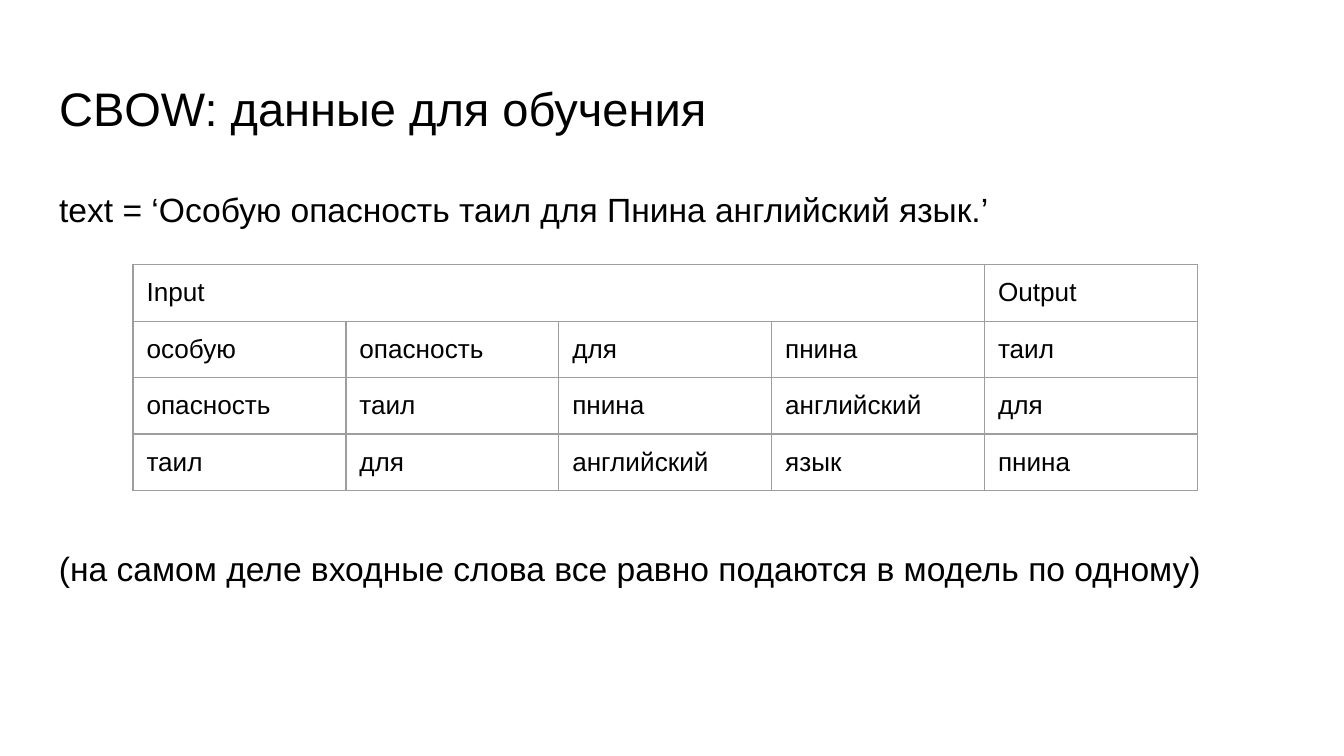
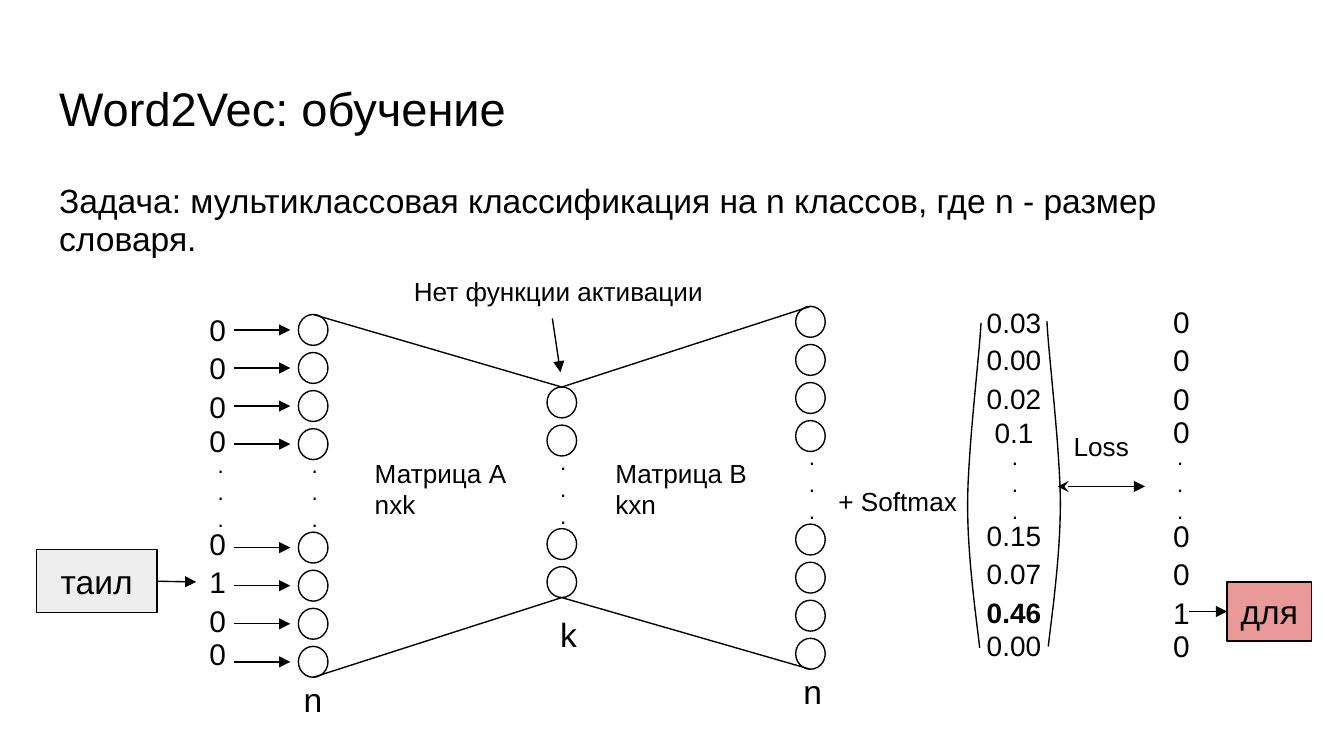
from lxml.etree import SubElement
from pptx import Presentation
from pptx.dml.color import RGBColor
from pptx.enum.shapes import MSO_CONNECTOR, MSO_SHAPE
from pptx.enum.text import MSO_ANCHOR, MSO_AUTO_SIZE, PP_ALIGN
from pptx.oxml.ns import qn
from pptx.util import Inches, Pt

FONT = "Arial"
BLACK, GRID, PALE, ROSE = "000000", "9E9E9E", "EEEEEE", "EA9999"
LINE_WIDTH = 0.75
LEFT, CENTER = PP_ALIGN.LEFT, PP_ALIGN.CENTER
TOP, MIDDLE = MSO_ANCHOR.TOP, MSO_ANCHOR.MIDDLE

# Training data slide
DATA_TITLE = "CBOW: данные для обучения"
DATA_TEXT = "text = ‘Особую опасность таил для Пнина английский язык.’"
DATA_NOTE = "(на самом деле входные слова все равно подаются в модель по одному)"
DATA_ROWS = [
    ("Input", "", "", "", "Output"),
    ("особую", "опасность", "для", "пнина", "таил"),
    ("опасность", "таил", "пнина", "английский", "для"),
    ("таил", "для", "английский", "язык", "пнина"),
]
TABLE_WIDTH, ROW_HEIGHT = 7.92, 0.42

# Network slide
NET_TITLE = "Word2Vec: обучение"
NET_TEXT = "Задача: мультиклассовая классификация на n классов, где n - размер словаря."
INPUT = ["0", "0", "0", "0", "0", "1", "0", "0"]
SOFTMAX = ["0.03", "0.00", "0.02", "0.1", "0.15", "0.07", "0.46", "0.00"]
TARGET = ["0", "0", "0", "0", "0", "0", "1", "0"]
VALUE_OFFSETS = (0, 0.28, 0.57, 0.82, 1.59, 1.87, 2.16, 2.41)
# values, left, top, width, text size, left of the dots
VECTORS = [
    (INPUT, 1.46, 2.34, 0.22, 16, 1.52),
    (SOFTMAX, 7.23, 2.28, 0.63, 15, 7.43),
    (TARGET, 8.63, 2.28, 0.22, 16, 8.66),
]
# left, top, neurons above the dots, neurons below
LAYERS = [(2.22, 2.34, 4, 4), (4.07, 2.88, 2, 2), (5.92, 2.28, 4, 4)]
NEURON_WIDTH, NEURON_HEIGHT = 0.22, 0.23
NEURON_PITCH, DOTS_JUMP = 0.85 / 3, 0.77
DOTS_DROP, DOTS_HEIGHT = 1.08, 0.48
BOLD_VALUE = "0.46"
# lines, place, size, alignment, anchor
LABELS = [
    (["k"], (4.07, 4.6, 0.22, 0.23), 18, CENTER, MIDDLE),
    (["n"], (2.16, 5.09, 0.22, 0.23), 18, CENTER, MIDDLE),
    (["n"], (5.88, 5.03, 0.22, 0.23), 18, LEFT, MIDDLE),
    (["+ Softmax"], (6.14, 3.51, 1.1, 0.28), 14, LEFT, TOP),
    (["Loss"], (7.89, 3.1, 0.63, 0.28), 14, LEFT, TOP),
    (["Матрица А", "nxk"], (2.69, 3.3, 1.24, 0.63), 14, LEFT, TOP),
    (["Матрица B", "kxn"], (4.48, 3.3, 1.24, 0.63), 14, LEFT, TOP),
    (["Нет функции активации"], (2.91, 1.95, 2.49, 0.28), 14, CENTER, TOP),
]
# Each bracket is two cubic curves that share their middle point
BRACKETS = [
    [(7.3, 2.4), (7.29, 2.63), (7.2, 3.35), (7.2, 3.76),
     (7.2, 4.16), (7.27, 4.64), (7.29, 4.82)],
    [(7.79, 2.39), (7.8, 2.62), (7.89, 3.35), (7.89, 3.75),
     (7.89, 4.15), (7.82, 4.63), (7.8, 4.81)],
]


def color(hex_string):
    return RGBColor.from_string(hex_string)


def inches(*lengths):
    return [Inches(length) for length in lengths]


def style_line(line):
    line.color.rgb = color(BLACK)
    line.width = Pt(LINE_WIDTH)


def set_margins(target):
    """Give a text frame or a table cell equal insets."""
    target.margin_left = target.margin_right = Inches(0.1)
    target.margin_top = target.margin_bottom = Inches(0.1)


def write(frame, lines, size, align=LEFT, anchor=TOP, bold=False):
    frame.word_wrap = True
    frame.auto_size = MSO_AUTO_SIZE.NONE
    frame.vertical_anchor = anchor
    set_margins(frame)
    for index, text in enumerate(lines):
        para = frame.add_paragraph() if index else frame.paragraphs[0]
        para.alignment = align
        add_span(para, text, size, bold)


def add_span(para, text, size, bold=False):
    span = para.add_run()
    span.text = text
    span.font.name = FONT
    span.font.size = Pt(size)
    span.font.bold = bold
    span.font.color.rgb = color(BLACK)


def add_text(page, lines, place, size, align=LEFT, anchor=TOP, bold=False):
    box = page.shapes.add_textbox(*inches(*place))
    write(box.text_frame, lines, size, align, anchor, bold)


def add_page(deck, title, text, body_height, line_spacing):
    page = deck.slides.add_slide(deck.slide_layouts[1])
    head, body = page.placeholders
    for holder, place in ((head, (0.34, 0.49, 9.32, 0.63)),
                          (body, (0.34, 1.26, 9.32, body_height))):
        holder.left, holder.top, holder.width, holder.height = inches(*place)
    write(head.text_frame, [title], 25.2)
    write(body.text_frame, [text], 18)
    para = body.text_frame.paragraphs[0]
    para.line_spacing = line_spacing
    para.space_before, para.space_after = Pt(0), Pt(12)
    properties = para._p.get_or_add_pPr()
    properties.set("marL", "0")
    properties.set("indent", "0")
    SubElement(properties, qn("a:buNone"))
    return page


def add_figure(page, kind, place, fill=None):
    figure = page.shapes.add_shape(kind, *inches(*place))
    figure.shadow.inherit = False
    style_line(figure.line)
    if fill:
        figure.fill.solid()
        figure.fill.fore_color.rgb = color(fill)
    else:
        figure.fill.background()
    return figure


def add_line(page, start, end, head=None, tail=None):
    line = page.shapes.add_connector(MSO_CONNECTOR.STRAIGHT, *inches(*start, *end))
    style_line(line.line)
    properties = line._element.spPr
    outline = properties.find(qn("a:ln"))
    for tag, kind in (("a:headEnd", head), ("a:tailEnd", tail)):
        if kind:
            SubElement(outline, qn(tag), type=kind)
    SubElement(properties, qn("a:effectLst"))
    return line


def add_arrow(page, start, end, head=None):
    return add_line(page, start, end, head, "triangle")


def add_dots(page, left, top):
    add_text(page, ["."] * 3, (left, top, NEURON_WIDTH, DOTS_HEIGHT), 12, CENTER, MIDDLE)


def add_borders(cell):
    properties = cell._tc.get_or_add_tcPr()
    for side in ("L", "R", "T", "B"):
        border = SubElement(properties, qn(f"a:ln{side}"), w=str(Pt(LINE_WIDTH)))
        fill = SubElement(border, qn("a:solidFill"))
        SubElement(fill, qn("a:srgbClr"), val=GRID)


def add_data_table(page):
    rows, columns = len(DATA_ROWS), len(DATA_ROWS[0])
    place = (0.99, 1.97, TABLE_WIDTH, rows * ROW_HEIGHT)
    table = page.shapes.add_table(rows, columns, *inches(*place)).table
    table.first_row = table.horz_banding = False
    for row, words in enumerate(DATA_ROWS):
        for column, word in enumerate(words):
            cell = table.cell(row, column)
            add_borders(cell)
            cell.fill.background()
            set_margins(cell)
            if word:
                add_span(cell.text_frame.paragraphs[0], word, 14)
    table.cell(0, 0).merge(table.cell(0, columns - 2))


def add_layer(page, left, top, above, below):
    """Draw a column of neurons and return their tops."""
    lower = top + (above - 1) * NEURON_PITCH + DOTS_JUMP
    tops = [top + i * NEURON_PITCH for i in range(above)]
    tops += [lower + i * NEURON_PITCH for i in range(below)]
    for y in tops:
        add_figure(page, MSO_SHAPE.OVAL, (left, y, NEURON_WIDTH, NEURON_HEIGHT))
    add_dots(page, left, tops[above - 1] + NEURON_HEIGHT)
    return tops


def add_vector(page, values, left, top, width, size, dots_left):
    for value, offset in zip(values, VALUE_OFFSETS):
        add_text(page, [value], (left, top + offset, width, NEURON_HEIGHT),
                 size, CENTER, MIDDLE, value == BOLD_VALUE)
    add_dots(page, dots_left, top + DOTS_DROP)


def curve_points(controls, steps=16):
    """Sample one cubic Bezier curve, leaving out its first point."""
    for step in range(1, steps + 1):
        t = step / steps
        weights = ((1 - t) ** 3, 3 * t * (1 - t) ** 2, 3 * t * t * (1 - t), t ** 3)
        yield tuple(Inches(sum(w * point[axis] for w, point in zip(weights, controls)))
                    for axis in (0, 1))


def add_bracket(page, controls):
    builder = page.shapes.build_freeform(*inches(*controls[0]))
    points = [*curve_points(controls[:4]), *curve_points(controls[3:])]
    builder.add_line_segments(points, close=False)
    bracket = builder.convert_to_shape()
    bracket.shadow.inherit = False
    bracket.fill.background()
    style_line(bracket.line)


def add_word(page, word, place, fill):
    box = add_figure(page, MSO_SHAPE.RECTANGLE, place, fill)
    write(box.text_frame, [word], 18, CENTER, MIDDLE)
    return box


def build_data_page(deck):
    page = add_page(deck, DATA_TITLE, DATA_TEXT, 0.71, 1.15)
    add_data_table(page)
    add_text(page, [DATA_NOTE], (0.34, 3.98, 8.93, 0.49), 18)


def build_network_page(deck):
    page = add_page(deck, NET_TITLE, NET_TEXT, 0.79, 0.95)
    layer_tops = [add_layer(page, *layer) for layer in LAYERS]

    ends = [(layer[0] + NEURON_WIDTH / 2, tops[0], tops[-1] + NEURON_HEIGHT)
            for layer, tops in zip(LAYERS, layer_tops)]
    hidden_x, hidden_top, hidden_bottom = ends[1]
    for x, top, bottom in (ends[0], ends[2]):
        add_line(page, (hidden_x, hidden_top), (x, top))
        add_line(page, (hidden_x, hidden_bottom), (x, bottom))

    for vector in VECTORS:
        add_vector(page, *vector)
    for top in layer_tops[0]:
        y = top + NEURON_HEIGHT / 2
        add_arrow(page, (1.74, y), (2.16, y))

    source = add_word(page, "таил", (0.27, 4.09, 0.9, 0.47), PALE)
    answer = add_word(page, "для", (9.13, 4.33, 0.63, 0.44), ROSE)
    add_arrow(page, (1.17, 4.33), (1.46, 4.33)).begin_connect(source, 3)
    add_arrow(page, (8.85, 4.55), (9.13, 4.55)).end_connect(answer, 1)
    add_arrow(page, (7.87, 3.62), (8.52, 3.62), head="stealth")
    add_arrow(page, (4.11, 2.37), (4.17, 2.77))

    for label in LABELS:
        add_text(page, *label)
    for controls in BRACKETS:
        add_bracket(page, controls)


def main():
    deck = Presentation()
    deck.slide_width = Inches(10)
    deck.slide_height = deck.slide_width * 9 // 16
    build_data_page(deck)
    build_network_page(deck)
    deck.save("out.pptx")


if __name__ == "__main__":
    main()
